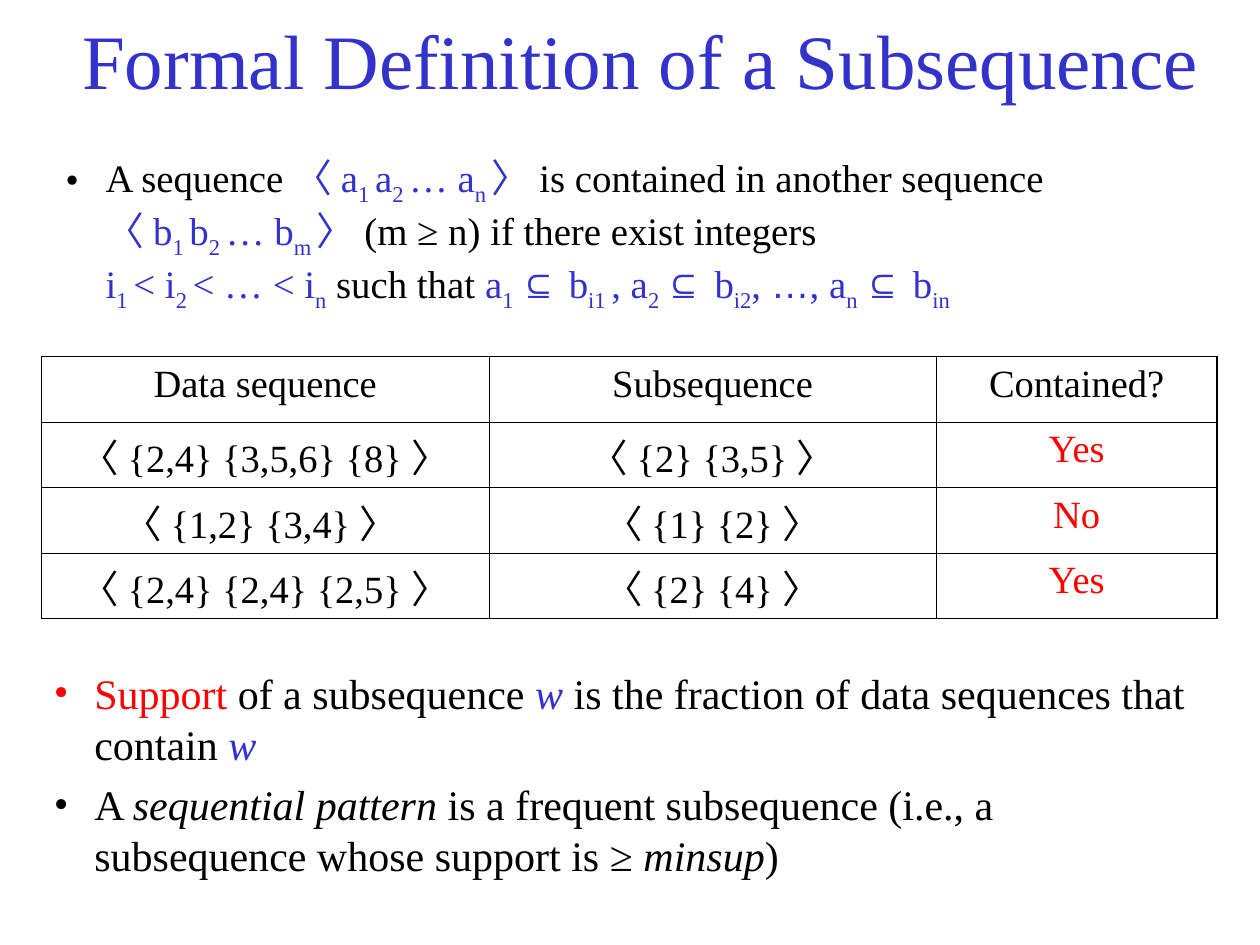
from lxml.etree import SubElement
from pptx import Presentation
from pptx.dml.color import RGBColor
from pptx.enum.text import MSO_ANCHOR, MSO_AUTO_SIZE, PP_ALIGN
from pptx.oxml import parse_xml
from pptx.oxml.ns import nsdecls, qn
from pptx.util import Inches, Pt

BLACK, BLUE, RED = "000000", "3333CC", "FF0000"
SERIF, SANS = "Times New Roman", "Arial"


def shade(code):
    """Turn a hex string into a colour."""
    return RGBColor.from_string(code)


def write(para, text, size=22, color=BLACK, italic=False):
    """Add text split at bars: an underscore lowers a piece, symbols are sans."""
    for piece in text.split("|"):
        if piece == "\n":
            para.add_line_break()
            continue
        run = para.add_run()
        run.text = piece.lstrip("_")
        font = run.font
        font.size, font.italic = Pt(size), italic
        font.name = SANS if piece.strip() in "〈〉⊆…" else SERIF
        font.color.rgb = shade(color)
        if piece.startswith("_"):
            font._element.set("baseline", "-25000")


def bullet(para, color):
    """Give a paragraph a hanging bullet."""
    para.space_before = Pt(6)
    props = para._p.get_or_add_pPr()
    props.set("marL", str(Inches(0.32)))
    props.set("indent", str(Inches(-0.32)))
    tint = SubElement(props, qn("a:buClr"))
    SubElement(tint, qn("a:srgbClr")).set("val", color)
    SubElement(props, qn("a:buFont")).set("typeface", SERIF)
    SubElement(props, qn("a:buChar")).set("char", "•")


def heading(slide, box, text):
    """Place and format the title."""
    title = slide.shapes.title
    title.left, title.top, title.width, title.height = map(Inches, box)
    frame = title.text_frame
    frame.auto_size = MSO_AUTO_SIZE.NONE
    frame.vertical_anchor = MSO_ANCHOR.MIDDLE
    para = frame.paragraphs[0]
    para.alignment = PP_ALIGN.CENTER
    write(para, text, size=44, color=BLUE)


def points(slide, box, items, size):
    """Place a list of bullets, each a bullet colour and its runs."""
    frame = slide.shapes.add_textbox(*map(Inches, box)).text_frame
    frame.word_wrap = True
    for index, (color, runs) in enumerate(items):
        para = frame.add_paragraph() if index else frame.paragraphs[0]
        bullet(para, color)
        for text, style in runs:
            write(para, text, size=size, **style)


def border(cell, widths):
    """Draw the left, right, top and bottom edges of a cell."""
    props = cell._tc.get_or_add_tcPr()
    for place, (side, width) in enumerate(zip("LRTB", widths)):
        props.insert(place, parse_xml(
            f'<a:ln{side} {nsdecls("a")} w="{Pt(width)}"><a:solidFill>'
            f'<a:srgbClr val="{BLACK}"/></a:solidFill></a:ln{side}>'))


def grid(slide, box, rows, widths):
    """Place the table with a thick frame and thin inner lines."""
    high, wide = len(rows), len(widths)
    table = slide.shapes.add_table(high, wide, *map(Inches, box)).table
    table.first_row = table.horz_banding = False
    for column, width in zip(table.columns, widths):
        column.width = Inches(width)
    for r, row in enumerate(rows):
        table.rows[r].height = Inches(box[3] / high)
        for c, text in enumerate(row):
            cell = table.cell(r, c)
            cell.fill.background()
            outer = (c == 0, c == wide - 1, r == 0, r == high - 1)
            border(cell, [1.08 if edge else 0.45 for edge in outer])
            para = cell.text_frame.paragraphs[0]
            para.alignment = PP_ALIGN.CENTER
            para.space_before = Pt(5.5)
            write(para, text, color=RED if r and c == wide - 1 else BLACK)


def main():
    """Build and save the slide."""
    deck = Presentation()
    deck.slide_width, deck.slide_height = Inches(10), Inches(7.5)
    slide = deck.slides.add_slide(deck.slide_layouts[5])
    plain, blue, red = {}, {"color": BLUE}, {"color": RED}
    slant = {"italic": True}
    heading(slide, (0.17, 0.08, 9.83, 0.78),
            "Formal Definition of a Subsequence")
    points(slide, (0.42, 1.17, 9.25, 1.42), [(BLACK, [
        ("A sequence ", plain),
        ("〈| a|_1 |a|_2 |… a|_n |〉", blue),
        (" is contained in another sequence|\n", plain),
        ("〈| b|_1 |b|_2 |… b|_m |〉", blue),
        (" (m ≥ n) if there exist integers|\n", plain),
        ("i|_1 |< i|_2 |< … < i|_n", blue),
        (" such that ", plain),
        ("a|_1 |⊆ |b|_i1 |, a|_2 |⊆ |b|_i2|, |…|, a|_n |⊆ |b|_in", blue),
    ])], 22.2)
    grid(slide, (0.33, 2.83, 9.33, 2.08), [
        ("Data sequence", "Subsequence", "Contained?"),
        ("〈| {2,4} {3,5,6} {8} |〉", "〈| {2} {3,5} |〉", "Yes"),
        ("〈| {1,2} {3,4} |〉 ", "〈| {1} {2} |〉", "No"),
        ("〈| {2,4} {2,4} {2,5} |〉", "〈| {2} {4} |〉", "Yes"),
    ], (3.55, 3.55, 2.23))
    points(slide, (0.33, 5.25, 9.25, 2), [
        (RED, [("Support", red), (" of a subsequence ", plain),
               ("w", blue | slant),
               (" is the fraction of data sequences that contain ", plain),
               ("w", blue | slant)]),
        (BLACK, [("A ", plain), ("sequential pattern", slant),
                 (" is a frequent subsequence (i.e., a subsequence whose "
                  "support is ≥ ", plain),
                 ("minsup", slant), (")", plain)]),
    ], 24)
    deck.save("out.pptx")


if __name__ == "__main__":
    main()
